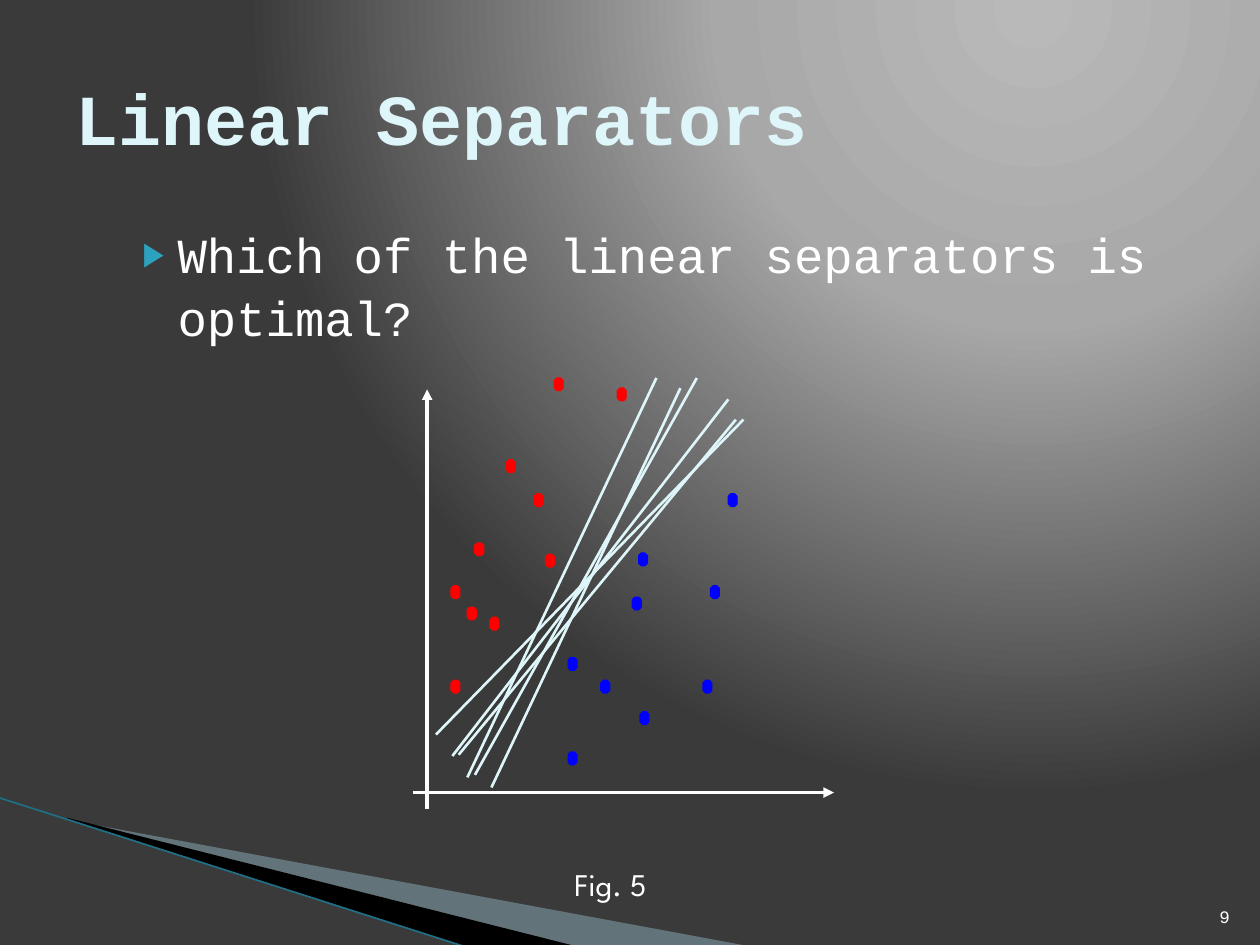
from typing import NamedTuple

from lxml import etree
from pptx import Presentation
from pptx.dml.color import RGBColor
from pptx.enum.shapes import MSO_CONNECTOR, MSO_SHAPE
from pptx.enum.text import MSO_ANCHOR, MSO_AUTO_SIZE, PP_ALIGN
from pptx.oxml.ns import qn
from pptx.util import Pt

STRAIGHT = MSO_CONNECTOR.STRAIGHT
OCTAGON = MSO_SHAPE.OCTAGON
MIDDLE, BOTTOM = MSO_ANCHOR.MIDDLE, MSO_ANCHOR.BOTTOM
LEFT, RIGHT = PP_ALIGN.LEFT, PP_ALIGN.RIGHT
NO_AUTOFIT = MSO_AUTO_SIZE.NONE

WHITE = RGBColor(0xFF, 0xFF, 0xFF)
BLACK = RGBColor(0x00, 0x00, 0x00)
RED = RGBColor(0xFF, 0x00, 0x00)
BLUE = RGBColor(0x00, 0x00, 0xFF)
ICE = RGBColor(0xDE, 0xF5, 0xFA)
MIST = RGBColor(0xA0, 0xCB, 0xDC)
TEAL = RGBColor(0x1F, 0x70, 0x85)
BULLET = RGBColor(0x2D, 0xA2, 0xBF)
GRADIENT = [(0, RGBColor(0xB9, 0xB9, 0xB9)), (40, RGBColor(0xA8, 0xA8, 0xA8)),
            (100, RGBColor(0x3A, 0x3A, 0x3A))]

MONO, SANS = "Courier New", "League Spartan"
DOT_WIDTH, DOT_HEIGHT = 5, 7.2


class Point(NamedTuple):
    x: float
    y: float


class Line(NamedTuple):
    start: Point
    end: Point


class Frame(NamedTuple):
    left: float
    top: float
    width: float
    height: float


RED_DOTS = [Point(305.3, 282.2), Point(271.4, 310.3), Point(280.1, 352.8),
            Point(257.8, 388.8), Point(289.4, 262.8), Point(257.8, 334.8),
            Point(267.1, 347), Point(311.8, 316.8), Point(316.8, 216),
            Point(352.8, 221.8)]
BLUE_DOTS = [Point(365, 316.1), Point(343.4, 388.8), Point(401.8, 388.8),
             Point(324.7, 429.8), Point(361.4, 341.3), Point(324.7, 375.8),
             Point(365.8, 406.8), Point(406.1, 334.8), Point(416.2, 282.2)]
SEPARATORS = [Line(Point(262.1, 431.3), Point(420.5, 239.8)),
              Line(Point(271.4, 442.8), Point(398.2, 216)),
              Line(Point(249.1, 419.8), Point(424.8, 239.8)),
              Line(Point(280.8, 450), Point(388.8, 221.8)),
              Line(Point(267.1, 444.2), Point(375.1, 216)),
              Line(Point(258.5, 432), Point(416.2, 228.2))]
AXES = [Line(Point(244.1, 462.2), Point(244.1, 222.5)),
        Line(Point(236.2, 452.9), Point(476.6, 452.9))]
GREY_WEDGE = [Point(39.6, 468.7), Point(428.4, 540.7), Point(328.3, 540.7), Point(39.6, 468)]
BLACK_WEDGE = [Point(38.2, 467.3), Point(329, 540.7), Point(267.8, 541.4), Point(38.9, 468)]
EDGE = Line(Point(-0.7, 455.8), Point(267.1, 541.4))


def add_element(parent, tag: str, **attributes: str):
    return etree.SubElement(parent, qn(tag), attributes)


def paint_background(page) -> None:
    page.background.fill.gradient()
    gradient = page.element.find(".//" + qn("a:gradFill"))
    for child in list(gradient):
        gradient.remove(child)
    stops = add_element(gradient, "a:gsLst")
    for position, color in GRADIENT:
        stop = add_element(stops, "a:gs", pos=str(position * 1000))
        add_element(stop, "a:srgbClr", val=str(color))
    circle = add_element(gradient, "a:path", path="circle")
    add_element(circle, "a:fillToRect", l="65000", t="0", r="0", b="98000")


def draw_line(page, line: Line, color: RGBColor, weight: float, arrow: bool = False) -> None:
    connector = page.shapes.add_connector(STRAIGHT, *(Pt(v) for v in line.start + line.end))
    connector.line.color.rgb = color
    connector.line.width = Pt(weight)
    if arrow:
        add_element(connector.line._get_or_add_ln(), "a:tailEnd", type="triangle")
    add_element(connector._element.spPr, "a:effectLst")


def draw_wedge(page, corners: list[Point], color: RGBColor, opacity: int = 100) -> None:
    first, *others = [(Pt(x), Pt(y)) for x, y in corners]
    builder = page.shapes.build_freeform(*first)
    builder.add_line_segments(others, close=True)
    wedge = builder.convert_to_shape()
    wedge.shadow.inherit = False
    wedge.fill.solid()
    wedge.fill.fore_color.rgb = color
    wedge.line.fill.background()
    if opacity < 100:
        paint = wedge._element.spPr.find(".//" + qn("a:srgbClr"))
        add_element(paint, "a:alpha", val=str(opacity * 1000))


def draw_dot(page, place: Point, color: RGBColor) -> None:
    dot = page.shapes.add_shape(OCTAGON, Pt(place.x), Pt(place.y), Pt(DOT_WIDTH), Pt(DOT_HEIGHT))
    dot.shadow.inherit = False
    dot.fill.solid()
    dot.fill.fore_color.rgb = color
    dot.line.color.rgb = color
    dot.line.width = Pt(0.75)


def write(box, text: str, size: float, font: str, color: RGBColor, bold: bool = False):
    box.text_frame.text = text
    para = box.text_frame.paragraphs[0]
    span = para.runs[0]
    span.font.size = Pt(size)
    span.font.name = font
    span.font.color.rgb = color
    span.font.bold = bold
    return para


def place(box, frame: Frame) -> None:
    box.left, box.top, box.width, box.height = (Pt(v) for v in frame)
    box.text_frame.auto_size = NO_AUTOFIT


def add_bullet(para) -> None:
    properties = para._p.get_or_add_pPr()
    properties.set("marL", str(Pt(28.8)))
    properties.set("indent", str(Pt(-20.16)))
    add_element(add_element(properties, "a:buClr"), "a:srgbClr", val=str(BULLET))
    add_element(properties, "a:buSzPct", val="68000")
    add_element(properties, "a:buChar", char="▶")


def main() -> None:
    deck = Presentation()
    deck.slide_width, deck.slide_height = Pt(720), Pt(540)
    page = deck.slides.add_slide(deck.slide_layouts[1])
    paint_background(page)

    # Corner decoration
    draw_wedge(page, GREY_WEDGE, MIST, opacity=40)
    draw_wedge(page, BLACK_WEDGE, BLACK)
    draw_line(page, EDGE, TEAL, 0.95)

    # Question and title, in front of the decoration
    title, body = page.shapes.title, page.placeholders[1]
    for box in (body, title):
        page.shapes._spTree.append(box._element)
    place(body, Frame(65.5, 118.8, 612, 396))
    body.text_frame.margin_top = Pt(7.6)
    question = write(body, "Which of the linear separators is optimal?", 28, MONO, WHITE)
    question.space_before = Pt(0)
    question.line_spacing = 1.06
    add_bullet(question)

    place(title, Frame(36, 21.6, 648, 90))
    title.text_frame.vertical_anchor = MIDDLE
    write(title, "Linear Separators", 41, MONO, ICE, bold=True).alignment = LEFT

    # Slide number
    number = page.shapes.add_textbox(Pt(681.1), Pt(504.7), Pt(28.8), Pt(28.8))
    number.text_frame.word_wrap = True
    number.text_frame.vertical_anchor = BOTTOM
    write(number, "9", 10, MONO, WHITE).alignment = RIGHT

    # Scatter plot
    for axis in AXES:
        draw_line(page, axis, WHITE, 2, arrow=True)
    for dots, color in ((RED_DOTS, RED), (BLUE_DOTS, BLUE)):
        for dot in dots:
            draw_dot(page, dot, color)
    for separator in SEPARATORS:
        draw_line(page, separator, ICE, 1.5)

    # Caption
    caption = page.shapes.add_textbox(Pt(321.1), Pt(491), Pt(59.8), Pt(28.8))
    caption.text_frame.word_wrap = False
    write(caption, "Fig. 5", 18, SANS, WHITE)

    deck.save("out.pptx")


if __name__ == "__main__":
    main()
